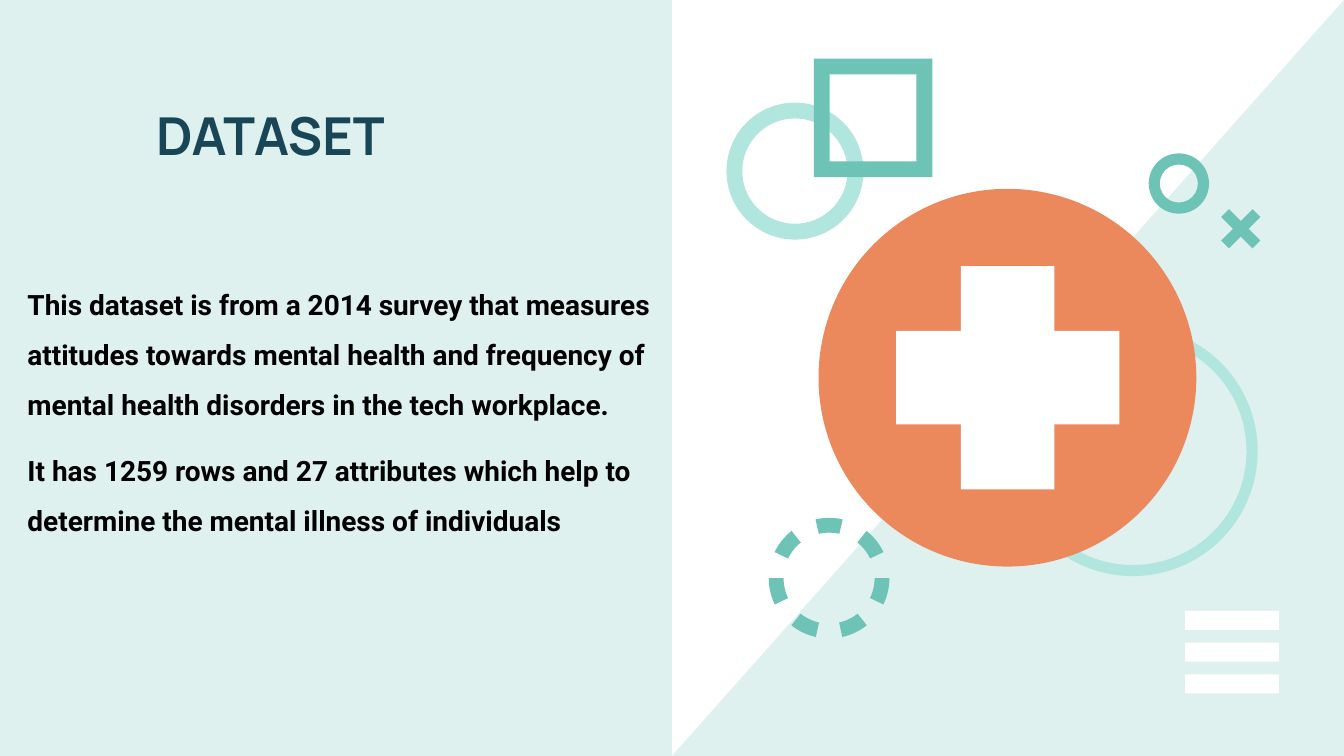
import math
from dataclasses import dataclass

from pptx import Presentation
from pptx import util as u
from pptx.dml.color import RGBColor
from pptx.enum import shapes, text

Point = tuple[float, float]
KIND = shapes.MSO_SHAPE


@dataclass(frozen=True)
class Theme:
    pale: str = "DFF1EF"
    mint: str = "B1E6DE"
    teal: str = "6CC3B6"
    orange: str = "EB895D"
    white: str = "FFFFFF"
    navy: str = "194656"
    black: str = "000000"
    title_font: str = "Manrope"
    body_font: str = "Roboto"
    title_size: int = 28
    body_size: int = 15


@dataclass(frozen=True)
class Figure:
    """A preset shape, in cm; thickness applies to rings and frames."""
    kind: KIND
    left: float
    top: float
    width: float
    height: float
    color: str
    rotation: float = 0
    thickness: float = 0


THEME = Theme()
WIDTH, HEIGHT = 25.4, 14.29
MIDDLE = WIDTH / 2
INSET = 0.25


def paint(shape, color: str) -> None:
    shape.shadow.inherit = False
    shape.fill.solid()
    shape.fill.fore_color.rgb = RGBColor.from_string(color)
    shape.line.fill.background()


def draw_figure(slide, figure: Figure) -> None:
    shape = slide.shapes.add_shape(
        figure.kind, u.Cm(figure.left), u.Cm(figure.top),
        u.Cm(figure.width), u.Cm(figure.height))
    shape.rotation = figure.rotation
    if figure.thickness:
        shape.adjustments[0] = figure.thickness / figure.width
    paint(shape, figure.color)


def draw_outline(slide, contours: list[list[Point]], color: str) -> None:
    """Draw closed contours as one freeform."""
    scaled = [[(u.Cm(x), u.Cm(y)) for x, y in contour] for contour in contours]
    builder = slide.shapes.build_freeform(*scaled[0][0])
    for index, (start, *rest) in enumerate(scaled):
        if index:
            builder.move_to(*start)
        builder.add_line_segments(rest, close=True)
    paint(builder.convert_to_shape(), color)


def ring_dashes(center: Point, outer: float, inner: float,
                count: int, sweep: int) -> list[list[Point]]:
    """Equal ring segments, the first one centred at the top."""
    def arc(radius: float, middle: float) -> list[Point]:
        angles = [math.radians(middle + step) for step in range(-sweep // 2, sweep // 2 + 1, 2)]
        return [(center[0] + radius * math.cos(a), center[1] + radius * math.sin(a))
                for a in angles]

    middles = [-90 + 360 / count * i for i in range(count)]
    return [arc(outer, m) + arc(inner, m)[::-1] for m in middles]


def format_text(frame, font_name: str, size: int, color: str) -> None:
    frame.word_wrap = True
    frame.auto_size = text.MSO_AUTO_SIZE.NONE
    frame.margin_left = frame.margin_right = u.Cm(INSET)
    frame.margin_top = frame.margin_bottom = u.Cm(INSET)
    for paragraph in frame.paragraphs:
        paragraph.alignment = text.PP_ALIGN.LEFT
        for run in paragraph.runs:
            run.font.name = font_name
            run.font.size = u.Pt(size)
            run.font.bold = True
            run.font.color.rgb = RGBColor.from_string(color)


def draw_backdrop(slide) -> None:
    triangle = [(WIDTH, 0), (MIDDLE, HEIGHT), (WIDTH, HEIGHT)]
    panel = [(0, 0), (0, HEIGHT), (MIDDLE, HEIGHT), (MIDDLE, 0)]
    for outline in (triangle, panel):
        draw_outline(slide, [outline], THEME.pale)


def write_heading(slide) -> None:
    heading = slide.shapes.title
    heading.left, heading.top = u.Cm(1.55), u.Cm(1.12)
    heading.width, heading.height = u.Cm(8.74), u.Cm(2.84)
    frame = heading.text_frame
    frame.text = "DATASET"
    format_text(frame, THEME.title_font, THEME.title_size, THEME.navy)
    frame.margin_left = u.Cm(1.4)
    frame.vertical_anchor = text.MSO_ANCHOR.MIDDLE
    # Move in front of everything drawn so far
    heading.element.getparent().append(heading.element)


def write_description(slide) -> None:
    description = slide.shapes.add_textbox(u.Cm(0.27), u.Cm(4.86), u.Cm(12.32), u.Cm(5.18))
    frame = description.text_frame
    frame.text = (
        "This dataset is from a 2014 survey that measures attitudes towards mental "
        "health and frequency of mental health disorders in the tech workplace.\n"
        "It has 1259 rows and 27 attributes which help to determine the mental "
        "illness of individuals")
    format_text(frame, THEME.body_font, THEME.body_size, THEME.black)
    for paragraph in frame.paragraphs:
        paragraph.line_spacing = 1.5
        paragraph.space_before = u.Pt(8)


def draw_illustration(slide) -> None:
    # Medical cross on its disc, with a ring behind
    emblem = [
        Figure(KIND.DONUT, 19.05, 6.17, 4.72, 4.72, THEME.mint, thickness=0.21),
        Figure(KIND.OVAL, 15.47, 3.57, 7.14, 7.14, THEME.orange),
    ]
    emblem += [Figure(KIND.RECTANGLE, 18.16, 5.03, 1.77, 4.22, THEME.white, turn)
               for turn in (0, 90)]

    # Rings and square frame around the emblem
    ornaments = [
        Figure(KIND.DONUT, 21.71, 2.9, 1.14, 1.14, THEME.teal, thickness=0.21),
        Figure(KIND.DONUT, 13.73, 1.94, 2.59, 2.59, THEME.mint, thickness=0.3),
        Figure(KIND.FRAME, 15.38, 1.11, 2.24, 2.24, THEME.teal, thickness=0.3),
    ]

    # Stacked bars and the small diagonal cross
    bars = [Figure(KIND.RECTANGLE, 22.4, 11.55 + 0.6 * i, 1.77, 0.36, THEME.white)
            for i in range(3)]
    strokes = [Figure(KIND.RECTANGLE, 23.03, 4.22, 0.84, 0.21, THEME.teal, turn)
               for turn in (45, 135)]

    for figure in emblem + ornaments + bars + strokes:
        draw_figure(slide, figure)

    # Dashed ring
    draw_outline(slide, ring_dashes((15.67, 10.93), 1.14, 0.86, 7, 26), THEME.teal)


def main() -> None:
    deck = Presentation()
    deck.slide_width, deck.slide_height = u.Cm(WIDTH), u.Cm(HEIGHT)
    slide = deck.slides.add_slide(deck.slide_layouts.get_by_name("Title Only"))
    slide.background.fill.solid()
    slide.background.fill.fore_color.rgb = RGBColor.from_string(THEME.white)

    draw_backdrop(slide)
    write_heading(slide)
    write_description(slide)
    draw_illustration(slide)
    deck.save("out.pptx")


if __name__ == "__main__":
    main()
